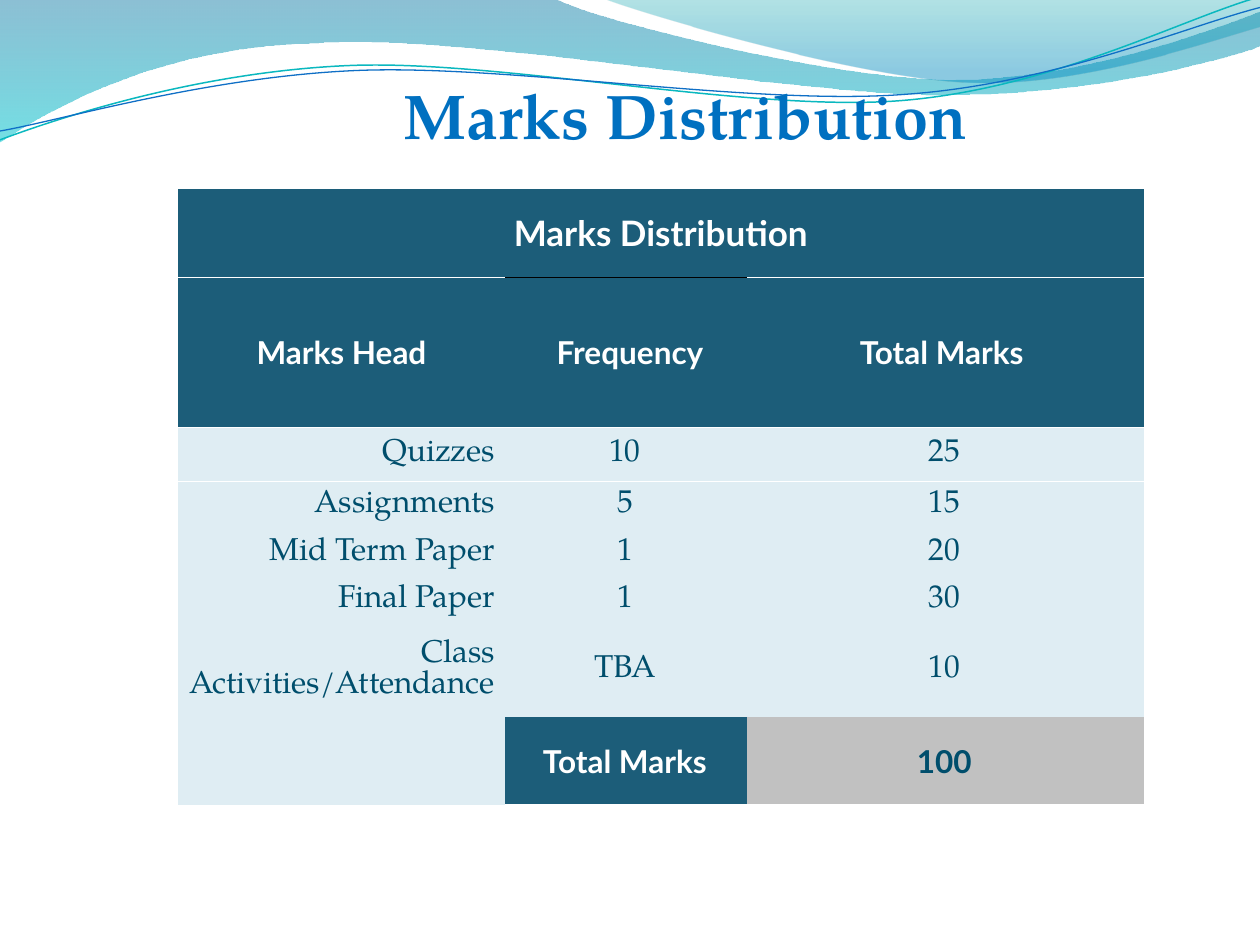
"""Build the marks distribution slide."""
from math import cos, radians, sin
from lxml.etree import SubElement
from pptx import Presentation
from pptx.dml.color import RGBColor
from pptx.enum.text import MSO_ANCHOR, PP_ALIGN
from pptx.oxml import parse_xml
from pptx.oxml.ns import nsdecls, qn
from pptx.util import Inches, Pt

HUES = {
    "title": "0070C0", "head": "1C5D79", "body": "DFEDF3", "sum": "C1C1C1",
    "ink": "004E6C", "white": "FFFFFF", "black": "000000",
    "blue": "0074A1", "cyan": "00C6CF", "teal": "00A1A9", "sky": "008BBF",
    "aqua": "0AB8BF", "navy": "0F6FC6",
}
SERIF, SANS = "TeX Gyre Pagella", "Lato"
PLAIN = "{2D5ABB26-0587-4C30-8999-92F81FD0307C}"
TILT = 2.7
COLS = [2.6, 1.92, 3.15]
ROWS = [0.7, 1.19, 0.43, 0.38, 0.38, 0.38, 0.73, 0.7]
MARKS = [
    ["Marks Distribution", "", ""],
    ["Marks Head", " Frequency", "Total Marks "],
    ["Quizzes", "10", "25"],
    ["Assignments", "5", "15"],
    ["Mid Term Paper", "1", "20"],
    ["Final Paper", "1", "30"],
    ["Class Activities/Attendance", "TBA", "10"],
    ["", "Total Marks", "100"],
]
BANDS = [
    ([(0, 0), (4.4, -0.01),
      (4.76, 0.17, 6.64, 0.63, 7.58, 0.63), (8.53, 0.63, 9.58, 0.26, 10, 0.09),
      (10.01, 0.36),
      (9.83, 0.44, 8.7, 0.76, 7.46, 0.75), (6.22, 0.75, 3.82, 0.28, 2.57, 0.34),
      (1.29, 0.36, 0.46, 0.83, -0.01, 1.13), (0, 0)],
     [(0, "blue", 45), (1, "cyan", 55)]),
    ([(4.79, -0.01),
      (5.09, 0.11, 6.82, 0.62, 7.69, 0.65), (8.56, 0.69, 9.61, 0.32, 10, 0.21),
      (10, 0), (4.79, -0.01)],
     [(0, "teal", 30), (0.8, "sky", 45)]),
]
WAVES = [
    ([(0, 1.11), (0.48, 0.93, 1.58, 0.57, 2.77, 0.52),
      (3.95, 0.47, 5.93, 0.89, 7.13, 0.8), (8.33, 0.71, 9.38, 0.15, 9.98, -0.02)],
     (4.99, 0.58), "aqua", 0.85),
    ([(0, 1.04), (0.47, 0.96, 1.64, 0.61, 2.83, 0.56),
      (4.03, 0.51, 5.97, 0.84, 7.17, 0.75), (8.36, 0.67, 9.41, 0.21, 10, 0.06)],
     (5, 0.59), "navy", 0.75),
]


def tint(name):
    return RGBColor.from_string(HUES[name])


def turn(step, mid):
    c, s = cos(radians(TILT)), sin(radians(TILT))
    out = []
    for x, y in zip(step[::2], step[1::2]):
        dx, dy = x - mid[0], y - mid[1]
        out += [mid[0] + dx * c - dy * s, mid[1] + dx * s + dy * c]
    return out


def add_path(slide, steps, close):
    dots = [(Inches(x), Inches(y)) for step in steps
            for x, y in zip(step[::2], step[1::2])]
    pen = slide.shapes.build_freeform(*dots[0])
    pen.add_line_segments(dots[1:], close=close)
    shape = pen.convert_to_shape()
    shape.shadow.inherit = False
    nodes = iter(list(shape._element.iter(qn("a:lnTo"))))
    for step in steps[1:]:
        node = next(nodes)
        if len(step) == 6:
            node.tag = qn("a:cubicBezTo")
            for extra in (next(nodes), next(nodes)):
                node.append(extra[0])
                extra.getparent().remove(extra)
    return shape


def add_band(slide, steps, stops):
    shape = add_path(slide, steps, True)
    shape.line.fill.background()
    shape.fill.gradient()
    shape.fill.gradient_angle = 270
    for stop, (place, name, _) in zip(shape.fill.gradient_stops, stops):
        stop.position = place
        stop.color.rgb = tint(name)
    for node, (_, _, alpha) in zip(shape._element.iter(qn("a:srgbClr")), stops):
        SubElement(node, qn("a:alpha"), val=str(alpha * 1000))


def add_wave(slide, steps, mid, name, width):
    shape = add_path(slide, [turn(step, mid) for step in steps], False)
    shape.rotation = -TILT
    shape.fill.background()
    shape.line.color.rgb = tint(name)
    shape.line.width = Pt(width)


def write(frame, text, face, size, name, bold, align=PP_ALIGN.CENTER):
    para = frame.paragraphs[0]
    para.text = text
    para.alignment = align
    font = para.font
    font.name, font.size, font.bold = face, Pt(size), bold
    font.color.rgb = tint(name)


def add_title(slide):
    title = slide.shapes.title
    title.left, title.top = Inches(1), Inches(0.5)
    title.width, title.height = Inches(8.5), Inches(0.71)
    frame = title.text_frame
    frame.vertical_anchor = MSO_ANCHOR.BOTTOM
    frame.margin_left, frame.margin_right = Inches(0.38), 0
    frame.margin_top, frame.margin_bottom = Inches(0.05), 0
    write(frame, "Marks Distribution", SERIF, 36, "title", True)
    slide.shapes._spTree.append(title._element)


def edge(cell, side, name):
    cell._tc.get_or_add_tcPr().insert(0, parse_xml(
        f'<a:ln{side} {nsdecls("a")} w="{Pt(0.75)}"><a:solidFill>'
        f'<a:srgbClr val="{HUES[name]}"/></a:solidFill></a:ln{side}>'))


def style(cell, text, row, col):
    last = row == len(ROWS) - 1
    head = row < 2 or (last and col == 1)
    total = last and col == 2
    cell.fill.solid()
    cell.fill.fore_color.rgb = tint("head" if head else "sum" if total else "body")
    cell.vertical_anchor = MSO_ANCHOR.MIDDLE
    cell.margin_left = cell.margin_top = cell.margin_bottom = Inches(0.06)
    cell.margin_right = Inches(0.06 if row < 2 else 0.08)
    if text:
        bold = head or total
        write(cell.text_frame, text, SANS if bold else SERIF,
              20 if row == 0 else 18, "white" if head else "ink", bold,
              PP_ALIGN.RIGHT if row > 1 and col == 0 else PP_ALIGN.CENTER)
    if row < 2 or (last and col):
        edge(cell, "B", "black" if row == 0 and col == 1 else "white")
    if row in (1, 2):
        edge(cell, "T", "black" if row == col == 1 else "white")


def add_marks(slide):
    table = slide.shapes.add_table(
        len(ROWS), len(COLS), Inches(1.41), Inches(1.5),
        Inches(sum(COLS)), Inches(sum(ROWS))).table
    table._tbl.tblPr.find(qn("a:tableStyleId")).text = PLAIN
    for col, width in zip(table.columns, COLS):
        col.width = Inches(width)
    for row, height in zip(table.rows, ROWS):
        row.height = Inches(height)
    for r, texts in enumerate(MARKS):
        for c, text in enumerate(texts):
            style(table.cell(r, c), text, r, c)
    table.cell(0, 0).merge(table.cell(0, 2))


def main():
    deck = Presentation()
    deck.slide_width, deck.slide_height = Inches(10), Inches(7.5)
    slide = deck.slides.add_slide(deck.slide_layouts[5])
    for band in BANDS:
        add_band(slide, *band)
    for wave in WAVES:
        add_wave(slide, *wave)
    add_title(slide)
    add_marks(slide)
    deck.save("out.pptx")


if __name__ == "__main__":
    main()
